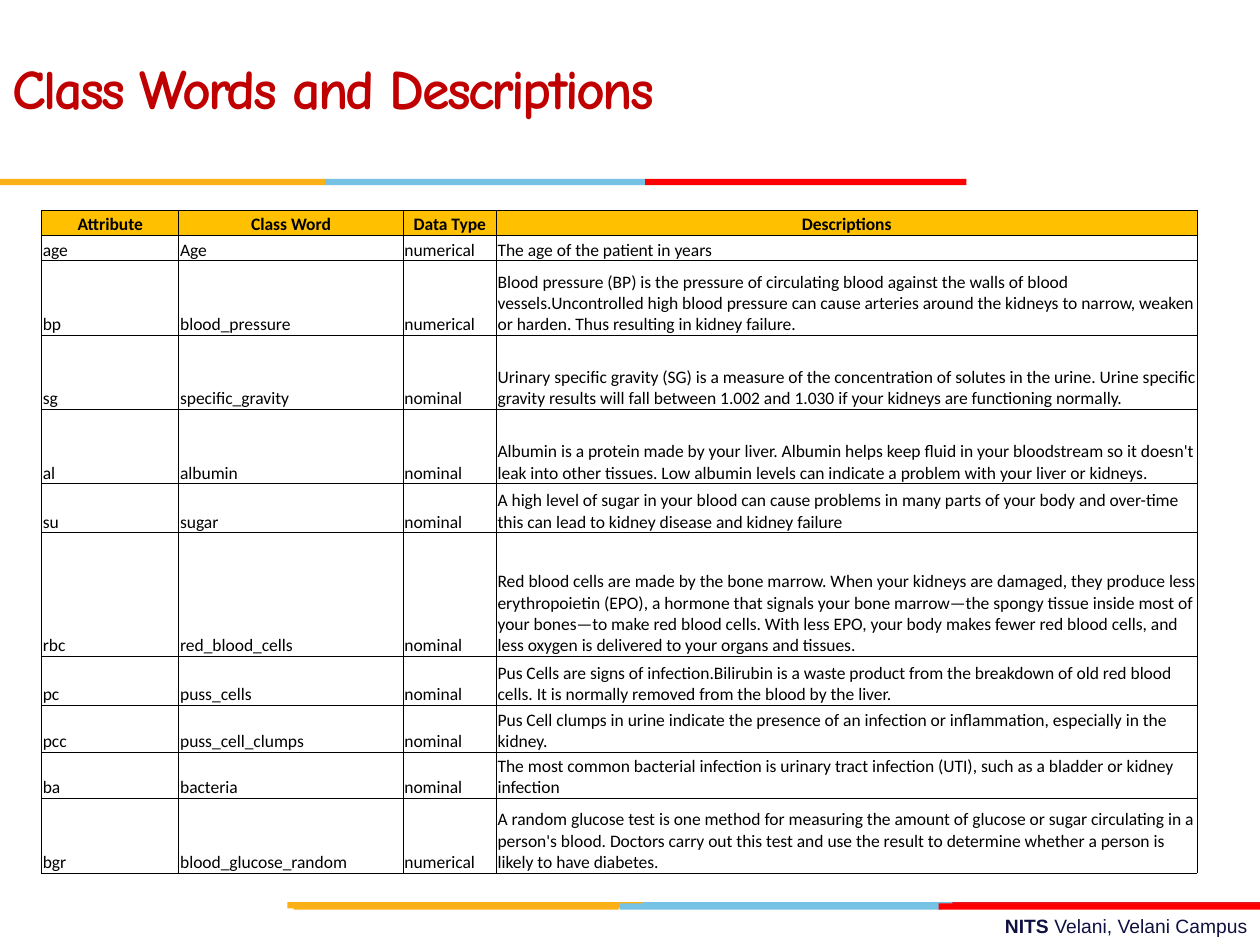
import pptx
import pptx.util
import pptx.dml.color
import pptx.enum.shapes
import pptx.enum.text
import pptx.oxml
import pptx.oxml.ns

Inches = pptx.util.Inches
Pt = pptx.util.Pt
ALIGN = pptx.enum.text.PP_ALIGN
ANCHOR = pptx.enum.text.MSO_ANCHOR

YELLOW, BLUE, RED, DARK_RED = "FCB017", "76C2E5", "FF0000", "E31C24"
BAR_HEIGHT = 0.05

COLUMN_WIDTHS = [1.09, 1.78, 0.74, 5.56]
HEADINGS = ["Attribute", "Class Word", "Data Type", "Descriptions"]
# Row height, then the four cells
ATTRIBUTES = [
    (0.2, "age", "Age", "numerical", "The age of the patient in years"),
    (0.59, "bp", "blood_pressure", "numerical",
     "Blood pressure (BP) is the pressure of circulating blood against the walls of blood "
     "vessels.Uncontrolled high blood pressure can cause arteries around the kidneys to narrow, "
     "weaken or harden. Thus resulting in kidney failure."),
    (0.59, "sg", "specific_gravity", "nominal",
     "Urinary specific gravity (SG) is a measure of the concentration of solutes in the urine. "
     "Urine specific gravity results will fall between 1.002 and 1.030 if your kidneys are "
     "functioning normally."),
    (0.59, "al", "albumin", "nominal",
     "Albumin is a protein made by your liver. Albumin helps keep fluid in your bloodstream so "
     "it doesn't leak into other tissues. Low albumin levels can indicate a problem with your "
     "liver or kidneys."),
    (0.39, "su", "sugar", "nominal",
     "A high level of sugar in your blood can cause problems in many parts of your body and "
     "over-time this can lead to kidney disease and kidney failure"),
    (0.98, "rbc", "red_blood_cells", "nominal",
     "Red blood cells are made by the bone marrow. When your kidneys are damaged, they produce "
     "less erythropoietin (EPO), a hormone that signals your bone marrow—the spongy tissue "
     "inside most of your bones—to make red blood cells. With less EPO, your body makes fewer "
     "red blood cells, and less oxygen is delivered to your organs and tissues."),
    (0.39, "pc", "puss_cells", "nominal",
     "Pus Cells are signs of infection.Bilirubin is a waste product from the breakdown of old "
     "red blood cells. It is normally removed from the blood by the liver."),
    (0.37, "pcc", "puss_cell_clumps", "nominal",
     "Pus Cell clumps in urine indicate the presence of an infection or inflammation, "
     "especially in the kidney."),
    (0.37, "ba", "bacteria", "nominal",
     "The most common bacterial infection is urinary tract infection (UTI), such as a bladder "
     "or kidney infection"),
    (0.59, "bgr", "blood_glucose_random", "numerical",
     "A random glucose test is one method for measuring the amount of glucose or sugar "
     "circulating in a person's blood. Doctors carry out this test and use the result to "
     "determine whether a person is likely to have diabetes."),
]


def rgb(color):
    return pptx.dml.color.RGBColor.from_string(color)


def add_text(paragraph, text, font="Calibri", size=10, color="000000", bold=False,
             align=ALIGN.LEFT, spacing=None):
    """Append a formatted run; spacing is between letters, in points."""
    paragraph.alignment = align
    run = paragraph.add_run()
    run.text = text
    run.font.name = font
    run.font.size = Pt(size)
    run.font.bold = bold
    run.font.color.rgb = rgb(color)
    if spacing is not None:
        run.font._element.set("spc", str(round(spacing * 100)))


def add_text_box(slide, left, top, width, height, anchor):
    box = slide.shapes.add_textbox(Inches(left), Inches(top), Inches(width), Inches(height))
    box.text_frame.word_wrap = True
    box.text_frame.vertical_anchor = anchor
    return box.text_frame.paragraphs[0]


def add_title(slide, left, top, width, height):
    title = add_text_box(slide, left, top, width, height, ANCHOR.MIDDLE)
    title.line_spacing = Pt(36)
    add_text(title, "Class Words and Descriptions", font="Comic Neue", size=32,
             color="C00000", bold=True, spacing=-1.5)


def add_stripe(slide, top, segments):
    """Grouped colour bar; each segment is left, width, colour."""
    stripe = slide.shapes.add_group_shape()
    for left, width, color in segments:
        bar = stripe.shapes.add_shape(
            pptx.enum.shapes.MSO_SHAPE.RECTANGLE,
            Inches(left), Inches(top), Inches(width), Inches(BAR_HEIGHT))
        bar.shadow.inherit = False
        bar.fill.solid()
        bar.fill.fore_color.rgb = rgb(color)
        bar.line.fill.background()


def add_footer(slide, left, top, width, height):
    campus = add_text_box(slide, left, top, width, height, ANCHOR.TOP)
    for text, bold in [("NITS ", True), ("Velani, Velani Campus", False)]:
        add_text(campus, text, font="Arial", size=11, color="101141", bold=bold,
                 align=ALIGN.RIGHT)


def add_borders(cell, color="000000", width=0.5):
    properties = cell._tc.get_or_add_tcPr()
    for position, side in enumerate(["lnL", "lnR", "lnT", "lnB"]):
        properties.insert(position, pptx.oxml.parse_xml(
            f'<a:{side} {pptx.oxml.ns.nsdecls("a")} w="{Pt(width)}">'
            f'<a:solidFill><a:srgbClr val="{color}"/></a:solidFill></a:{side}>'))


def fill_cell(cell, text, heading):
    cell.margin_left = cell.margin_right = cell.margin_top = Inches(0.01)
    cell.margin_bottom = 0
    cell.vertical_anchor = ANCHOR.BOTTOM
    if heading:
        cell.fill.solid()
        cell.fill.fore_color.rgb = rgb("FFC000")
    else:
        cell.fill.background()
    add_borders(cell)
    add_text(cell.text_frame.paragraphs[0], text, bold=heading,
             align=ALIGN.CENTER if heading else ALIGN.LEFT)


def add_attribute_table(slide, left, top, width, height):
    rows = [(0.2, *HEADINGS), *ATTRIBUTES]
    table = slide.shapes.add_table(len(rows), len(HEADINGS), Inches(left), Inches(top),
                                   Inches(width), Inches(height)).table
    table.horz_banding = False
    table.first_row = False
    for column, column_width in zip(table.columns, COLUMN_WIDTHS):
        column.width = Inches(column_width)
    for index, (row_height, *texts) in enumerate(rows):
        table.rows[index].height = Inches(row_height)
        for cell, text in zip(table.rows[index].cells, texts):
            fill_cell(cell, text, heading=index == 0)


def main():
    deck = pptx.Presentation()
    deck.slide_width, deck.slide_height = Inches(10), Inches(7.5)
    slide = deck.slides.add_slide(deck.slide_layouts[6])

    # Footer text and its two overlapping stripes
    add_footer(slide, 3.58, 7.21, 6.42, 0.29)
    add_stripe(slide, 7.16, [(5.06, 2.55, BLUE), (7.56, 2.44, DARK_RED), (2.28, 2.82, YELLOW)])
    add_stripe(slide, 7.17, [(4.92, 2.55, BLUE), (2.33, 2.58, YELLOW), (7.45, 2.55, RED)])

    # Title and the stripe under it
    add_stripe(slide, 1.42, [(2.58, 2.55, BLUE), (0, 2.58, YELLOW), (5.12, 2.55, RED)])
    add_title(slide, 0, 0, 7.25, 1.42)

    # Attribute descriptions
    add_attribute_table(slide, 0.33, 1.67, sum(COLUMN_WIDTHS), 5.25)

    deck.save("out.pptx")


if __name__ == "__main__":
    main()
